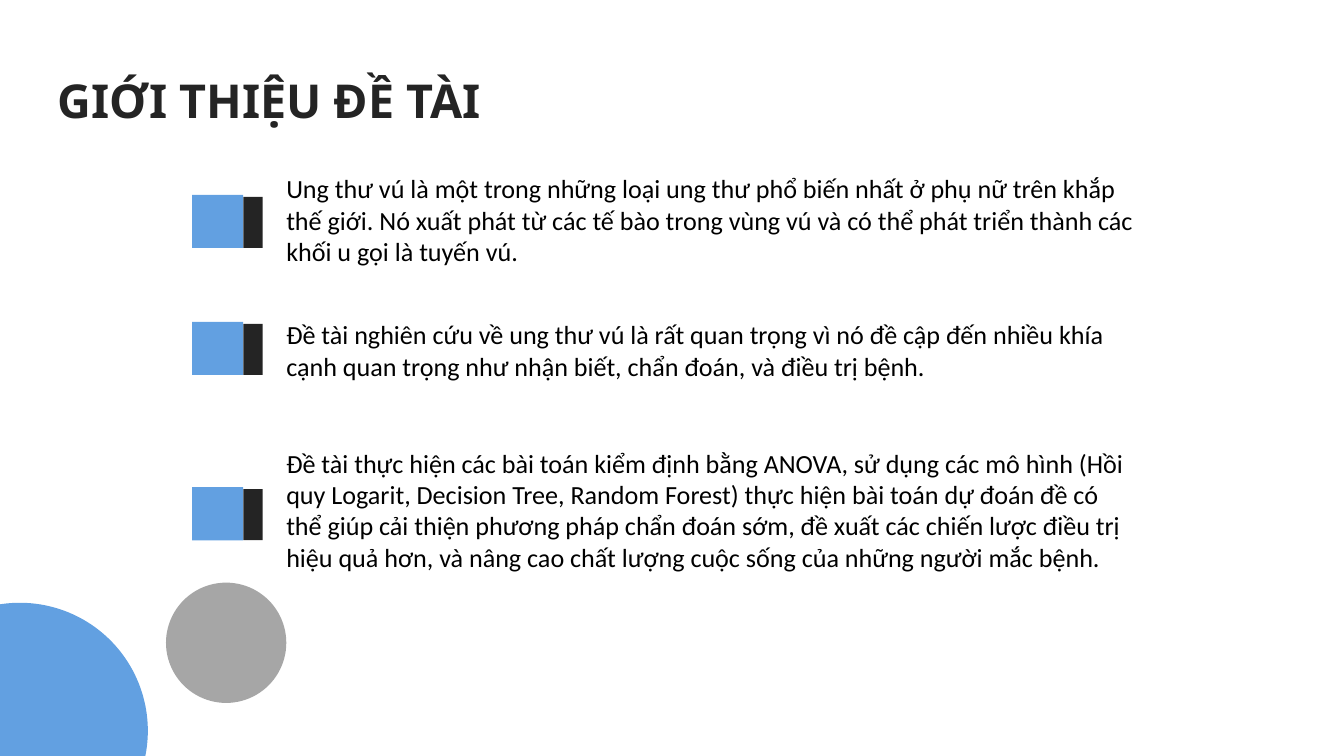
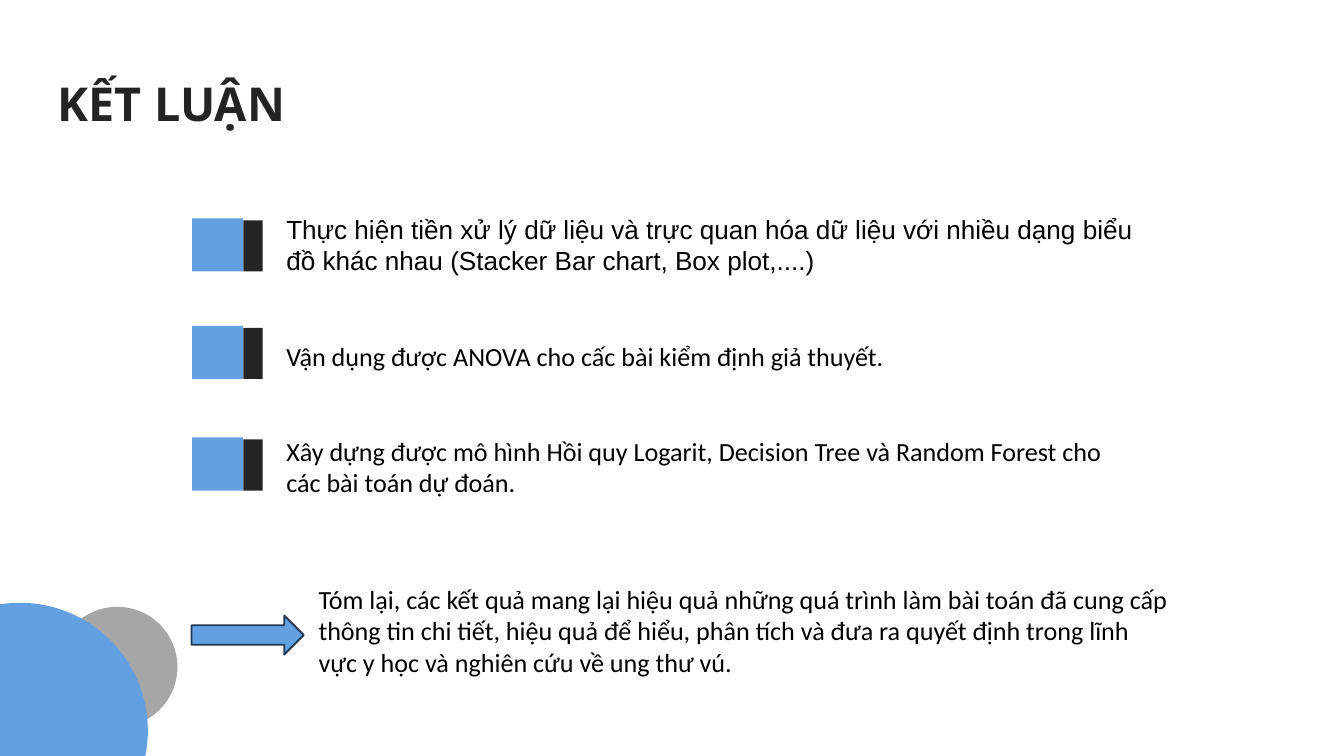
from pptx import Presentation
from pptx.dml.color import RGBColor
from pptx.enum.shapes import MSO_SHAPE
from pptx.enum.text import MSO_ANCHOR, MSO_AUTO_SIZE, PP_ALIGN
from pptx.util import Inches, Pt

RECTANGLE, OVAL, RIGHT_ARROW = MSO_SHAPE.RECTANGLE, MSO_SHAPE.OVAL, MSO_SHAPE.RIGHT_ARROW
TOP, LEFT = MSO_ANCHOR.TOP, PP_ALIGN.LEFT
FIXED_SIZE, GROW = MSO_AUTO_SIZE.NONE, MSO_AUTO_SIZE.SHAPE_TO_FIT_TEXT

BLUE = RGBColor(0x62, 0xA0, 0xE1)
GRAY = RGBColor(0xA6, 0xA6, 0xA6)
INK = RGBColor(0x24, 0x24, 0x24)
NAVY = RGBColor(0x23, 0x39, 0x53)
BLACK = RGBColor(0, 0, 0)

TITLE_FONT, BODY_FONT, ALTERNATE_FONT = "Noto Sans", "Calibri", "Arial"
TITLE_ONLY = 5
MARKER_LEFT, MARKER_WIDTH, MARKER_HEIGHT = 2.86, 0.76, 0.79
MARKER_LIP = 0.03
TEXT_LEFT, TEXT_WIDTH, LINE_HEIGHT = 4.26, 12.65, 0.47


def add_filled(slide, kind, left, top, width, height, color):
    shape = slide.shapes.add_shape(
        kind, Inches(left), Inches(top), Inches(width), Inches(height))
    shape.shadow.inherit = False
    shape.fill.solid()
    shape.fill.fore_color.rgb = color
    shape.line.fill.background()
    return shape


def write(frame, text, font, size, color, bold=False):
    """Put one left-aligned run at the top of a frame without margins."""
    frame.margin_left = frame.margin_right = 0
    frame.margin_top = frame.margin_bottom = 0
    frame.word_wrap = True
    frame.vertical_anchor = TOP
    para = frame.paragraphs[0]
    para.alignment = LEFT
    span = para.add_run()
    span.text = text
    span.font.name = font
    span.font.size = Pt(size)
    span.font.bold = bold
    span.font.color.rgb = color
    return para


def add_title(slide, text, top):
    title = slide.shapes.title
    title.left, title.top = Inches(0.86), Inches(top)
    title.width, title.height = Inches(9.63), Inches(0.81)
    title.text_frame.auto_size = FIXED_SIZE
    para = write(title.text_frame, text, TITLE_FONT, 50, INK, bold=True)
    para.line_spacing = Pt(58)


def add_body(slide, text, top, lines, left=TEXT_LEFT, font=BODY_FONT):
    box = slide.shapes.add_textbox(
        Inches(left), Inches(top), Inches(TEXT_WIDTH), Inches(lines * LINE_HEIGHT))
    write(box.text_frame, text, font, 28, BLACK)
    box.text_frame.auto_size = GROW


def add_marker(slide, top):
    """Blue square with a slightly shorter dark strip on its right."""
    add_filled(slide, RECTANGLE, MARKER_LEFT, top, MARKER_WIDTH, MARKER_HEIGHT, BLUE)
    add_filled(slide, RECTANGLE, MARKER_LEFT + MARKER_WIDTH, top + MARKER_LIP,
               0.29, MARKER_HEIGHT - MARKER_LIP, INK)


def add_corner_circles(slide, gray_left, gray_top):
    add_filled(slide, OVAL, gray_left, gray_top, 1.79, 1.79, GRAY)
    add_filled(slide, OVAL, -1.61, 8.97, 3.81, 3.81, BLUE)


def add_points_slide(deck, title, title_top, gray_circle, points):
    """Each point is (marker top, text top, line count, font, text)."""
    slide = deck.slides.add_slide(deck.slide_layouts[TITLE_ONLY])
    add_corner_circles(slide, *gray_circle)
    add_title(slide, title, title_top)
    for marker_top, text_top, lines, font, text in points:
        add_marker(slide, marker_top)
        add_body(slide, text, text_top, lines, font=font)
    return slide


def add_summary(slide, text):
    arrow = add_filled(slide, RIGHT_ARROW, 2.85, 9.16, 1.67, 0.58, BLUE)
    arrow.line.color.rgb = NAVY
    arrow.line.width = Pt(2)
    add_body(slide, text, 8.68, 3, left=4.74)


def main():
    deck = Presentation()
    deck.slide_width, deck.slide_height = Inches(20), Inches(11.25)

    add_points_slide(deck, "GIỚI THIỆU ĐỀ TÀI", 1.1, (2.47, 8.67), [
        (2.9, 2.57, 3, BODY_FONT,
         "Ung thư vú là một trong những loại ung thư phổ biến nhất ở phụ nữ trên khắp "
         "thế giới. Nó xuất phát từ các tế bào trong vùng vú và có thể phát triển thành "
         "các khối u gọi là tuyến vú."),
        (4.79, 4.74, 2, BODY_FONT,
         "Đề tài nghiên cứu về ung thư vú là rất quan trọng vì nó đề cập đến nhiều khía "
         "cạnh quan trọng như nhận biết, chẩn đoán, và điều trị bệnh."),
        (7.25, 6.65, 5, BODY_FONT,
         "Đề tài thực hiện các bài toán kiểm định bằng ANOVA, sử dụng các mô hình (Hồi "
         "quy Logarit, Decision Tree, Random Forest) thực hiện bài toán dự đoán đề có "
         "thể giúp cải thiện phương pháp chẩn đoán sớm, đề xuất các chiến lược điều trị "
         "hiệu quả hơn, và nâng cao chất lượng cuộc sống của những người mắc bệnh."),
    ])

    conclusion = add_points_slide(deck, "KẾT LUẬN", 1.14, (0.85, 9.03), [
        (3.25, 3.17, 2, ALTERNATE_FONT,
         "Thực hiện tiền xử lý dữ liệu và trực quan hóa dữ liệu với nhiều dạng biểu "
         "đồ khác nhau (Stacker Bar chart, Box plot,....)"),
        (4.85, 5.06, 1, BODY_FONT,
         "Vận dụng được ANOVA cho cấc bài kiểm định giả thuyết."),
        (6.51, 6.48, 2, BODY_FONT,
         "Xây dựng được mô hình Hồi quy Logarit, Decision Tree và Random Forest cho "
         "các bài toán dự đoán."),
    ])
    add_summary(
        conclusion,
        "Tóm lại, các kết quả mang lại hiệu quả những quá trình làm bài toán đã cung cấp "
        "thông tin chi tiết, hiệu quả để hiểu, phân tích và đưa ra quyết định trong lĩnh "
        "vực y học và nghiên cứu về ung thư vú.")

    deck.save("out.pptx")


if __name__ == "__main__":
    main()
